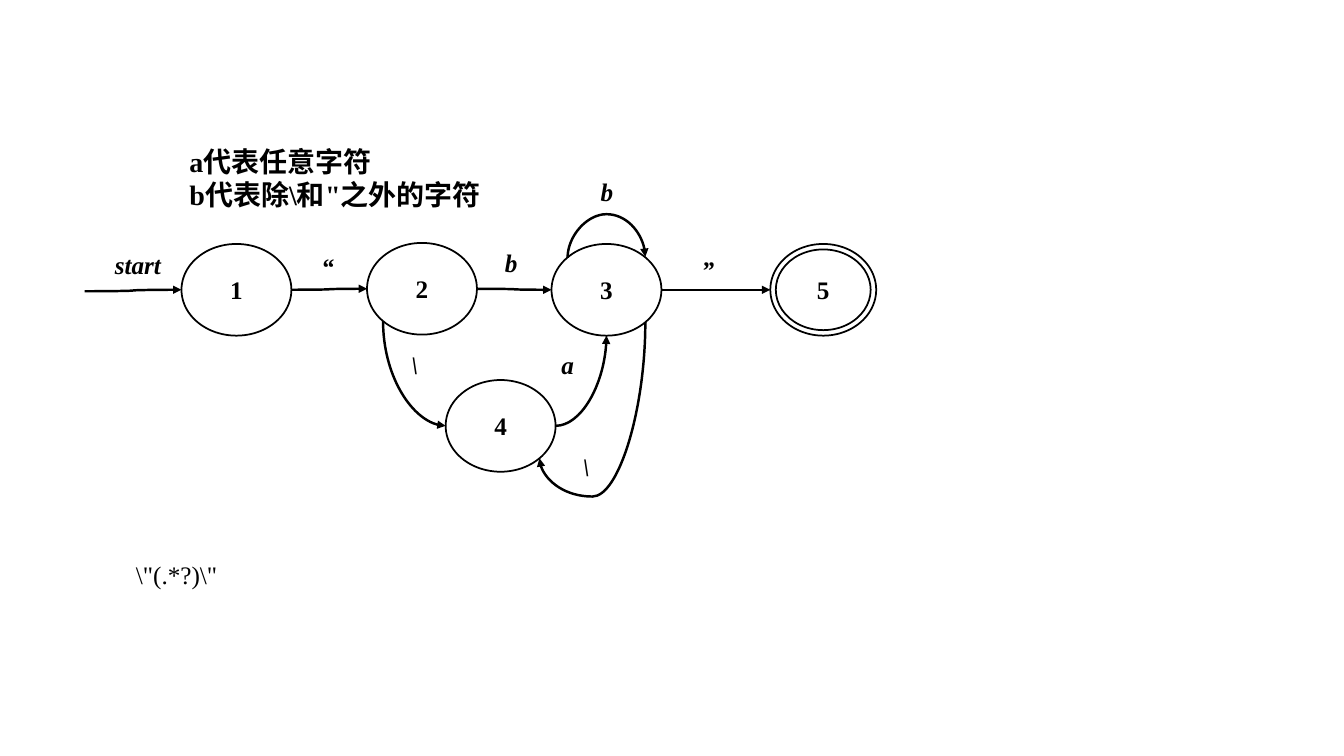
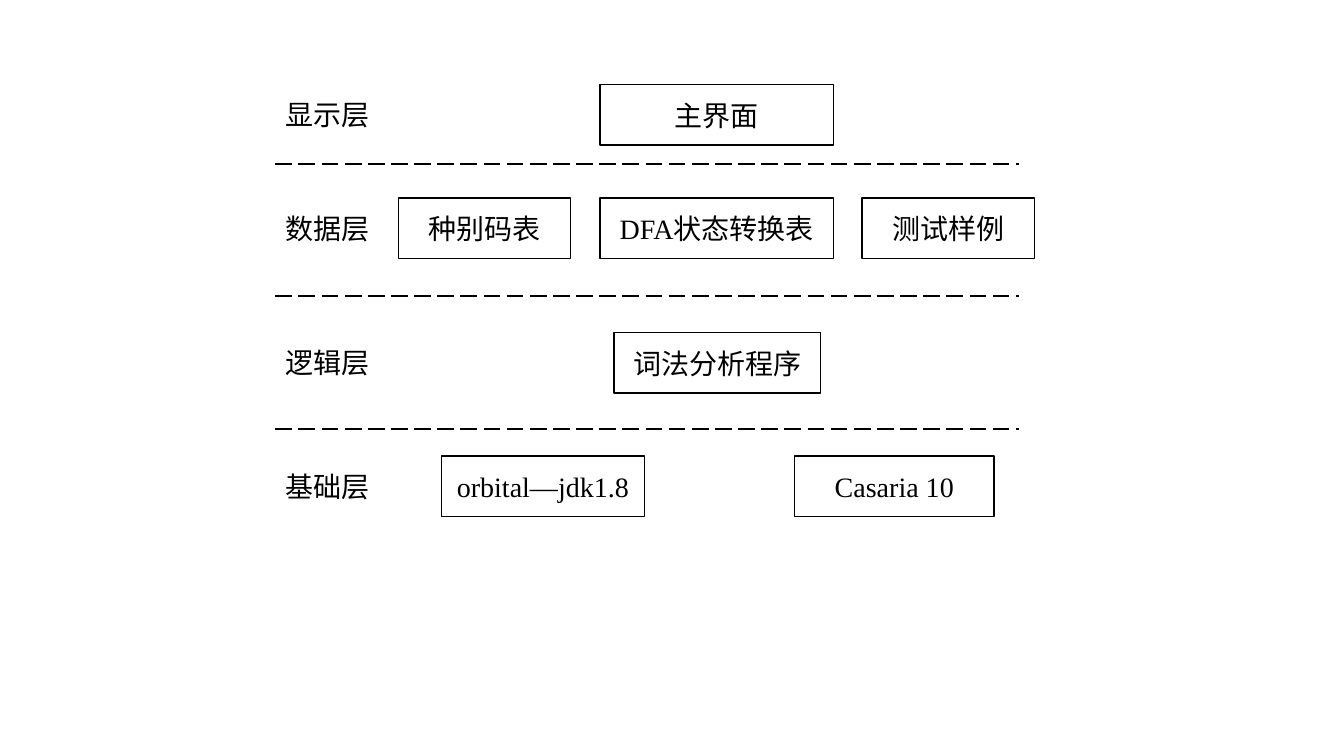
from dataclasses import dataclass
from math import sqrt

from lxml.etree import SubElement
from pptx import Presentation
from pptx.dml.color import RGBColor
from pptx.enum.dml import MSO_LINE
from pptx.enum.shapes import MSO_CONNECTOR as LINK, MSO_SHAPE as SHAPE
from pptx.enum.text import MSO_ANCHOR as ANCHOR, PP_ALIGN as ALIGN
from pptx.oxml.ns import qn
from pptx.util import Inches, Pt


@dataclass(frozen=True)
class Theme:
    """Colours, fonts, type sizes and line widths shared by both slides."""
    ink: RGBColor = RGBColor(0, 0, 0)
    paper: RGBColor = RGBColor(255, 255, 255)
    latin: str = "Times New Roman"
    han: str = "Noto Sans CJK SC"
    small: int = 18
    large: int = 20
    state_line: float = 1.25
    arrow_line: float = 1.75
    layer_line: float = 1
    divider_line: float = 1.5


@dataclass(frozen=True)
class Grid:
    """A region of the slide divided into equal columns and rows."""
    left: float
    top: float
    width: float
    height: float
    columns: float
    rows: float

    def point(self, column, row):
        """Return the slide position of a grid point."""
        return (Inches(self.left + column * self.width / self.columns),
                Inches(self.top + row * self.height / self.rows))

    def size(self, columns, rows):
        """Return the length of a span of columns and rows."""
        return (Inches(columns * self.width / self.columns),
                Inches(rows * self.height / self.rows))

    def area(self, column, row, columns, rows):
        """Return left, top, width and height of a grid area."""
        return *self.point(column, row), *self.size(columns, rows)


THEME = Theme()
TOP, TOP_LEFT, LEFT, BOTTOM_LEFT, BOTTOM, BOTTOM_RIGHT, RIGHT, TOP_RIGHT = range(8)
DIAGONAL = sqrt(0.5)
SITE_OFFSETS = {
    TOP: (0, -1), TOP_LEFT: (-DIAGONAL, -DIAGONAL),
    LEFT: (-1, 0), BOTTOM_LEFT: (-DIAGONAL, DIAGONAL),
    BOTTOM: (0, 1), BOTTOM_RIGHT: (DIAGONAL, DIAGONAL),
    RIGHT: (1, 0), TOP_RIGHT: (DIAGONAL, -DIAGONAL),
}


def write(frame, text, size, bold=False, italic=False, font=THEME.latin, align=ALIGN.LEFT):
    """Fill a text frame and format all of its runs."""
    frame.text = text
    for paragraph in frame.paragraphs:
        paragraph.alignment = align
        for run in paragraph.runs:
            run.font.size = Pt(size)
            run.font.bold = bold
            run.font.italic = italic
            run.font.name = font
            run.font.color.rgb = THEME.ink
            if any(letter > "\u2fff" for letter in run.text):
                SubElement(run.font._element, qn("a:ea"), typeface=THEME.han)


def add_label(slide, area, text, size, **style):
    """Add a wrapped text box."""
    frame = slide.shapes.add_textbox(*area).text_frame
    frame.word_wrap = True
    write(frame, text, size, **style)
    return frame


def add_node(slide, kind, area, text, size, line_width, bold=False):
    """Add an outlined shape with centred text."""
    node = slide.shapes.add_shape(kind, *area)
    node.shadow.inherit = False
    node.fill.solid()
    node.fill.fore_color.rgb = THEME.paper
    node.line.color.rgb = THEME.ink
    node.line.width = Pt(line_width)
    node.text_frame.vertical_anchor = ANCHOR.MIDDLE
    write(node.text_frame, text, size, bold=bold, align=ALIGN.CENTER)
    return node


def add_line(slide, kind, start, end, width):
    """Add a plain connector without a shadow."""
    line = slide.shapes.add_connector(kind, *start, *end)
    line.line.color.rgb = THEME.ink
    line.line.width = Pt(width)
    SubElement(line._element.spPr, qn("a:effectLst"))
    return line


def site_point(state, site):
    """Return the position of a connection site on a round state."""
    across, down = SITE_OFFSETS[site]
    return (round(state.left + state.width * (1 + across) / 2),
            round(state.top + state.height * (1 + down) / 2))


def bend(arrow, start, end, preset, turn=0, flips="", reach=None):
    """Give a curved arrow its turn, flips and the reach of its bow."""
    properties = arrow._element.spPr
    width = max(abs(end[0] - start[0]), Inches(0.01))
    height = max(abs(end[1] - start[1]), Inches(0.01))
    if turn:
        width, height = height, width
    arrow.left = round((start[0] + end[0] - width) / 2)
    arrow.top = round((start[1] + end[1] - height) / 2)
    arrow.width, arrow.height = width, height
    frame = properties.find(qn("a:xfrm"))
    frame.set("rot", str(turn * 60000))
    frame.set("flipH", str(int("h" in flips)))
    frame.set("flipV", str(int("v" in flips)))
    geometry = properties.find(qn("a:prstGeom"))
    geometry.set("prst", preset)
    if reach:
        share = round(reach / width * 100000)
        SubElement(geometry.find(qn("a:avLst")), qn("a:gd"), name="adj1", fmla=f"val {share}")


def add_transition(slide, start, end, source=None, target=None, curve=None):
    """Add an arrow glued to the states it joins."""
    arrow = add_line(slide, LINK.CURVE, start, end, THEME.arrow_line)
    SubElement(arrow.line._get_or_add_ln(), qn("a:tailEnd"), type="triangle")
    glue = arrow._element.nvCxnSpPr.cNvCxnSpPr
    for tag, joint in (("a:stCxn", source), ("a:endCxn", target)):
        if joint:
            state, site = joint
            SubElement(glue, qn(tag), id=str(state.shape_id), idx=str(site))
    if curve:
        bend(arrow, start, end, **curve)


def add_automaton(slide, grid):
    """Draw the automaton for string literals with its legend."""
    places = {"1": (10, 10.4), "2": (28.4, 10.3), "3": (46.7, 10.4), "4": (36.2, 23.9)}
    states = {
        name: add_node(slide, SHAPE.OVAL, grid.area(*place, 10.9, 9.1), name,
                       THEME.small, THEME.state_line, bold=True)
        for name, place in places.items()
    }
    accepting = add_node(slide, SHAPE.DONUT, grid.area(68.4, 10.4, 10.5, 9.1), "5",
                         THEME.small, THEME.state_line, bold=True)
    accepting.adjustments[0] = 0.06
    states["5"] = accepting

    transitions = [
        ("1", RIGHT, "2", LEFT, None),
        ("2", RIGHT, "3", LEFT, None),
        ("3", RIGHT, "5", LEFT, None),
        ("3", TOP_LEFT, "3", TOP_RIGHT,
         dict(preset="curvedConnector3", turn=90, flips="hv", reach=Inches(0.44))),
        ("2", BOTTOM_LEFT, "4", LEFT, dict(preset="curvedConnector2", turn=270, flips="h")),
        ("4", RIGHT, "3", BOTTOM, dict(preset="curvedConnector2", flips="v")),
        ("3", BOTTOM_RIGHT, "4", BOTTOM_RIGHT,
         dict(preset="curvedConnector3", turn=90, reach=Inches(1.73))),
    ]
    for origin, exit_site, goal, entry_site, curve in transitions:
        source, target = (states[origin], exit_site), (states[goal], entry_site)
        add_transition(slide, site_point(*source), site_point(*target), source, target, curve)
    first = (states["1"], LEFT)
    add_transition(slide, grid.point(0.4, 15.1), site_point(*first), target=first)

    inputs = [
        ("start", 2.4, 10.4, 11.9), ("“", 22.9, 10.6, 3.4), ("b", 41.1, 10.2, 2.1),
        ("”", 60.6, 10.9, 4.1), ("b", 50.6, 3.2, 3.3), ("\\", 31.8, 20.4, 2.1),
        ("a", 46.7, 20.4, 2.1), ("\\", 48.8, 30.5, 2.1),
    ]
    for symbol, column, row, columns in inputs:
        add_label(slide, grid.area(column, row, columns, 4), symbol, THEME.small,
                  bold=True, italic=True)
    add_label(slide, grid.area(4.5, 41.2, 12, 4), '\\"(.*?)\\"', THEME.small)
    legend = add_label(slide, grid.area(4, 0, 39.1, 7.7),
                       'a代表任意字符\nb代表除\\和"之外的字符', THEME.large,
                       bold=True, align=ALIGN.JUSTIFY)
    for paragraph in legend.paragraphs:
        indents = paragraph._p.get_or_add_pPr()
        indents.set("marL", str(Inches(0.29)))
        indents.set("indent", str(Inches(0.29)))


def add_layers(slide, grid):
    """Draw the layers of the architecture, parted by dashed lines."""
    layers = [
        ("显示层", 5.3, [("主界面", 32.2, 23.2)]),
        ("数据层", 3.4, [("种别码表", 12.2, 17.1), ("DFA状态转换表", 32.2, 23.2),
                      ("测试样例", 58.2, 17.1)]),
        ("逻辑层", 3.6, [("词法分析程序", 33.6, 20.5)]),
        ("基础层", 2.7, [("orbital—jdk1.8", 16.5, 20.1), ("Casaria 10", 51.5, 19.8)]),
    ]
    band = grid.rows / len(layers)
    for index, (layer, offset, modules) in enumerate(layers):
        row = index * band + offset
        if index:
            divider = add_line(slide, LINK.STRAIGHT, grid.point(0, index * band),
                               grid.point(grid.columns, index * band), THEME.divider_line)
            divider.line.dash_style = MSO_LINE.LONG_DASH
        add_label(slide, grid.area(0, row + 0.8, 19.8, 4.4), layer, THEME.large, font=THEME.han)
        for module, column, columns in modules:
            add_node(slide, SHAPE.RECTANGLE, grid.area(column, row, columns, 6), module,
                     THEME.large, THEME.layer_line)


def main():
    """Build both slides and save the presentation."""
    deck = Presentation()
    deck.slide_width, deck.slide_height = Inches(13.33), Inches(7.5)
    blank = deck.slide_layouts[6]
    add_automaton(deck.slides.add_slide(blank), Grid(0.8, 1.38, 8, 4.6, 80, 46))
    add_layers(deck.slides.add_slide(blank), Grid(2.73, 0.31, 7.38, 5.26, 73.8, 52.6))
    deck.save("out.pptx")


main()
